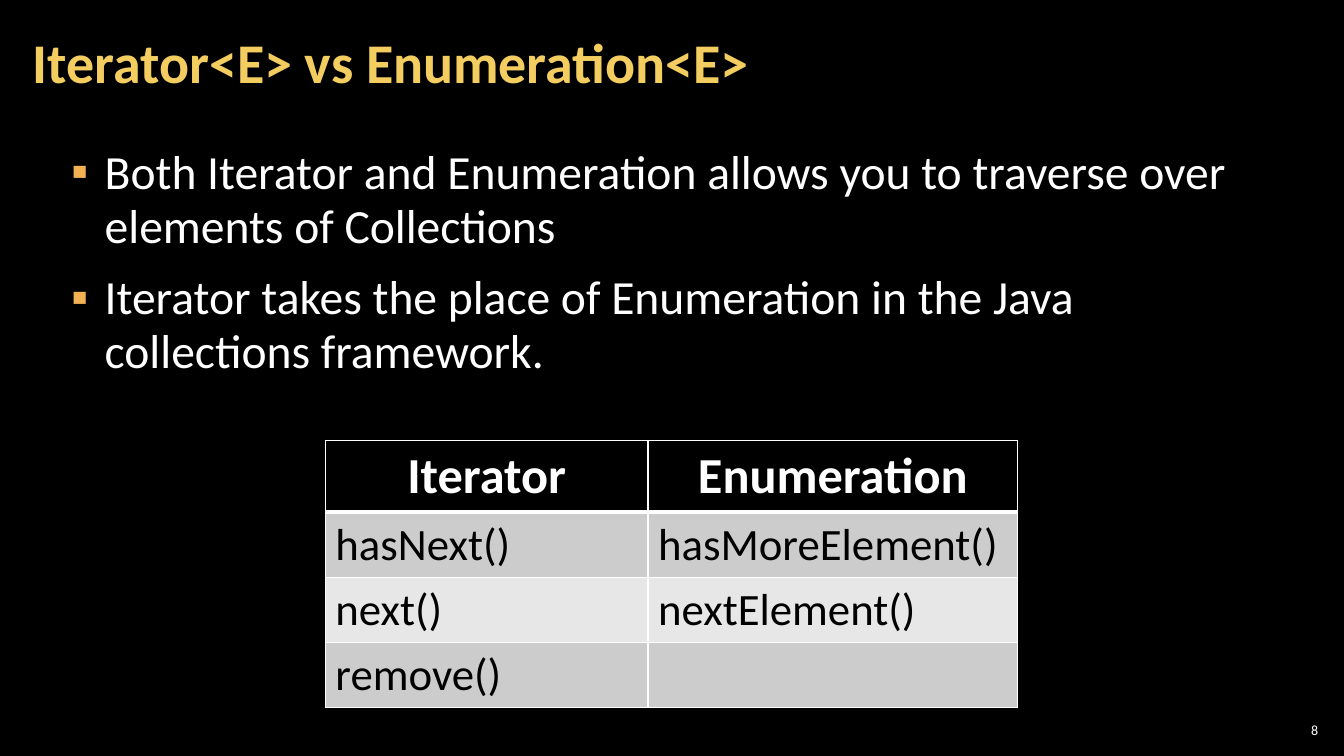
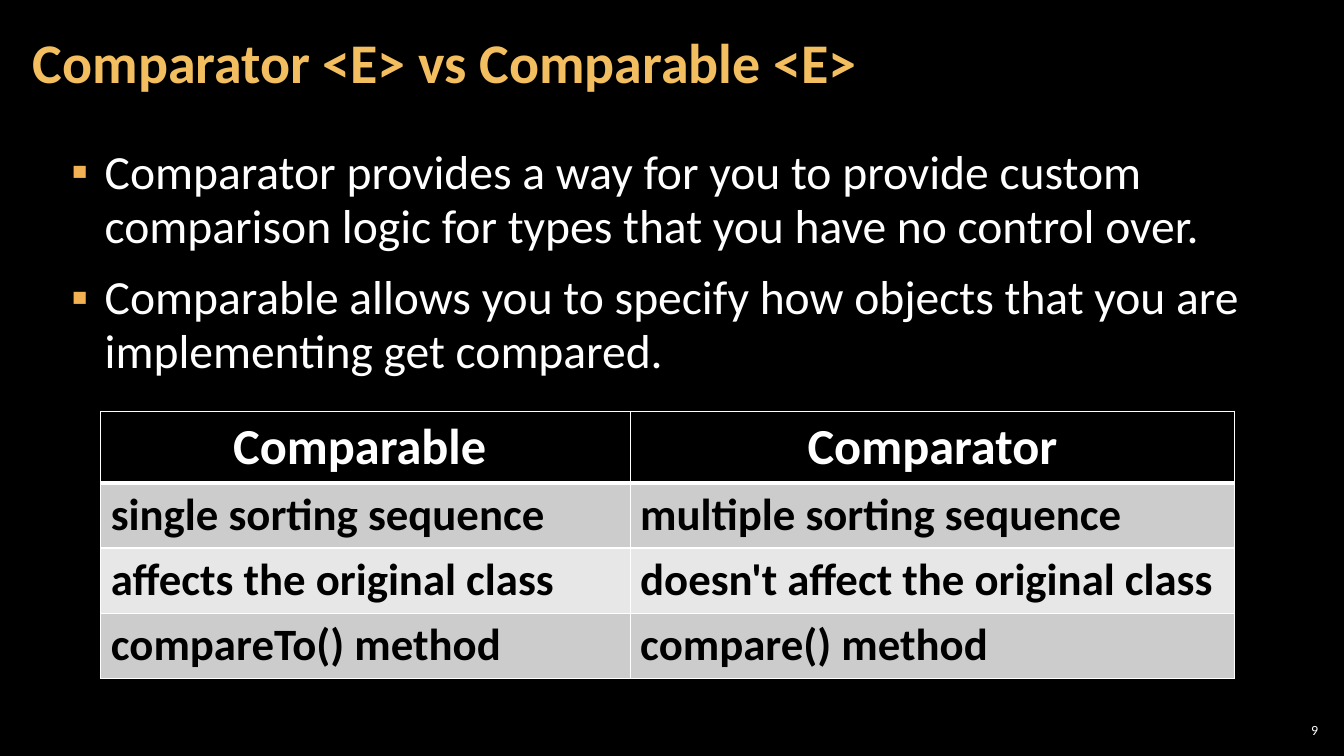
import dataclasses

import pptx
import pptx.dml.color
import pptx.enum.text
import pptx.oxml
import pptx.oxml.ns
import pptx.util

Cm, Pt = pptx.util.Cm, pptx.util.Pt
ALIGN = pptx.enum.text.PP_ALIGN
ANCHOR = pptx.enum.text.MSO_ANCHOR


@dataclasses.dataclass(frozen=True)
class Theme:
    """Colours, font and type sizes shared by the slides."""
    font: str = "Calibri"
    black: str = "000000"
    white: str = "FFFFFF"
    gold: str = "F3CD60"
    amber: str = "F3BE60"
    bullet: str = "F2B254"
    bands: tuple = ("CCCCCC", "E7E7E7")
    title: int = 40
    body: int = 34
    header: int = 36
    cell: int = 32
    number: int = 10


THEME = Theme()


def rgb(value):
    """Return a colour object for a hex string."""
    return pptx.dml.color.RGBColor.from_string(value)


def add_xml(parent, xml, index=None):
    """Insert a drawing element into parent, at its end by default."""
    ns = pptx.oxml.ns.nsdecls("a")
    tag, rest = xml.split(" ", 1)
    element = pptx.oxml.parse_xml(f"{tag} {ns} {rest}")
    parent.insert(len(parent) if index is None else index, element)


def add_bullet(p, indent=Cm(0.84)):
    """Give a paragraph a coloured square bullet and a hanging indent."""
    pPr = p._p.get_or_add_pPr()
    pPr.set("marL", str(indent))
    pPr.set("indent", str(-indent))
    add_xml(pPr, f'<a:buClr ><a:srgbClr val="{THEME.bullet}"/></a:buClr>')
    add_xml(pPr, f'<a:buFont typeface="{THEME.font}"/>')
    add_xml(pPr, '<a:buChar char="▪"/>')


def write(p, text, size, color=THEME.white, bold=False, align=ALIGN.LEFT,
          spacing=1.0, before=0, after=0, bullet=False):
    """Fill a paragraph with formatted text."""
    if bullet:
        add_bullet(p)
    p.alignment = align
    p.line_spacing = spacing
    p.space_before, p.space_after = Pt(before), Pt(after)
    r = p.add_run()
    r.text = text
    r.font.name, r.font.size, r.font.bold = THEME.font, Pt(size), bold
    r.font.color.rgb = rgb(color)


def set_frame(tf, side=0.3, anchor=ANCHOR.TOP):
    """Set wrapping, insets and anchor of a text frame."""
    tf.word_wrap = True
    tf.auto_size = pptx.enum.text.MSO_AUTO_SIZE.NONE
    tf.vertical_anchor = anchor
    tf.margin_left = tf.margin_right = Cm(side)
    tf.margin_top = tf.margin_bottom = Cm(0.1)


def add_title(s, text, color):
    """Place and format the title placeholder."""
    sp = s.shapes.title
    sp.left, sp.top, sp.width, sp.height = Cm(0.53), Cm(0.1), Cm(26.6), Cm(3.07)
    set_frame(sp.text_frame, anchor=ANCHOR.MIDDLE)
    write(sp.text_frame.paragraphs[0], text, THEME.title, color, bold=True, spacing=0.9)


def add_bullets(s, items):
    """Add the bulleted body text."""
    tf = s.shapes.add_textbox(Cm(1.5), Cm(3.58), Cm(30.63), Cm(6.38)).text_frame
    set_frame(tf)
    for i, item in enumerate(items):
        p = tf.add_paragraph() if i else tf.paragraphs[0]
        write(p, item, THEME.body, spacing=0.95, before=6 if i else 0, after=6, bullet=True)


def add_number(s, number):
    """Add the page number at the bottom right."""
    tf = s.shapes.add_textbox(Cm(32.13), Cm(18.14), Cm(1.19), Cm(0.53)).text_frame
    set_frame(tf, side=0.1, anchor=ANCHOR.MIDDLE)
    write(tf.paragraphs[0], str(number), THEME.number, align=ALIGN.RIGHT)


def format_cell(cell, fill, header):
    """Fill a cell and draw its white borders, with a thick rule below a header."""
    cell.fill.solid()
    cell.fill.fore_color.rgb = rgb(fill)
    widths = {"L": 1, "R": 1, "T": 1, "B": 3} if header else {"L": 1, "R": 1, "B": 1}
    for i, (side, width) in enumerate(widths.items()):
        add_xml(cell._tc.get_or_add_tcPr(),
                f'<a:ln{side} w="{Pt(width)}"><a:solidFill><a:srgbClr val="{THEME.white}"/>'
                f'</a:solidFill></a:ln{side}>', i)


def add_comparison(s, left, top, widths, rows, bold=False):
    """Add a table with a black header row and grey bands."""
    heights = [1.81] + [1.64] * (len(rows) - 1)
    table = s.shapes.add_table(len(rows), len(widths), Cm(left), Cm(top),
                               Cm(sum(widths)), Cm(sum(heights))).table
    table.horz_banding = False
    for column, width in zip(table.columns, widths):
        column.width = Cm(width)
    for i, texts in enumerate(rows):
        header = i == 0
        table.rows[i].height = Cm(heights[i])
        for j, text in enumerate(texts):
            cell = table.cell(i, j)
            format_cell(cell, THEME.black if header else THEME.bands[(i - 1) % 2], header)
            p = cell.text_frame.paragraphs[0]
            if header:
                write(p, text, THEME.header, bold=True, align=ALIGN.CENTER)
            elif text:
                write(p, text, THEME.cell, THEME.black, bold=bold)


def add_slide(prs, number, title, color, bullets):
    """Add a slide with its title, bullets and page number."""
    s = prs.slides.add_slide(prs.slide_layouts[5])
    add_number(s, number)
    add_bullets(s, bullets)
    add_title(s, title, color)
    return s


def main():
    """Build the two slides and save them."""
    prs = pptx.Presentation()
    prs.slide_width, prs.slide_height = Cm(33.87), Cm(19.05)
    background = prs.slide_master.background.fill
    background.solid()
    background.fore_color.rgb = rgb(THEME.black)

    s = add_slide(prs, 8, "Iterator<E> vs Enumeration<E>", THEME.gold, [
        "Both Iterator and Enumeration allows you to traverse over elements of Collections",
        "Iterator takes the place of Enumeration in the Java collections framework.",
    ])
    add_comparison(s, 8.2, 11.1, [8.13, 9.32], [
        ("Iterator", "Enumeration"),
        ("hasNext()", "hasMoreElement()"),
        ("next()", "nextElement()"),
        ("remove()", ""),
    ])

    s = add_slide(prs, 9, "Comparator <E> vs Comparable <E>", THEME.amber, [
        "Comparator provides a way for you to provide custom comparison logic "
        "for types that you have no control over.",
        "Comparable allows you to specify how objects that you are implementing get compared.",
    ])
    add_comparison(s, 2.54, 10.36, [13.34, 15.24], [
        ("Comparable ", "Comparator"),
        ("single sorting sequence", "multiple sorting sequence"),
        ("affects the original class", "doesn't affect the original class"),
        ("compareTo() method", "compare() method"),
    ], bold=True)

    prs.save("out.pptx")


if __name__ == "__main__":
    main()
